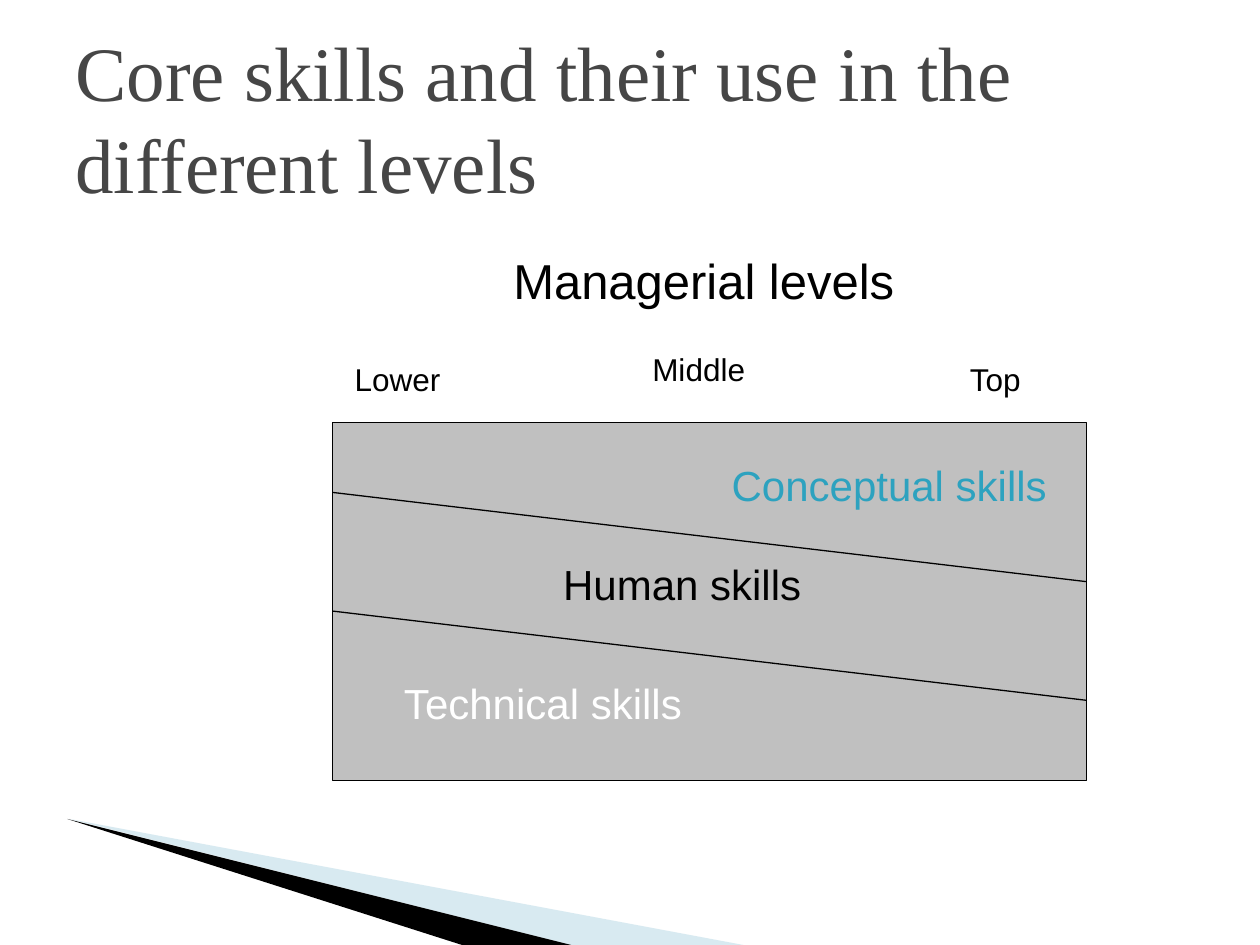
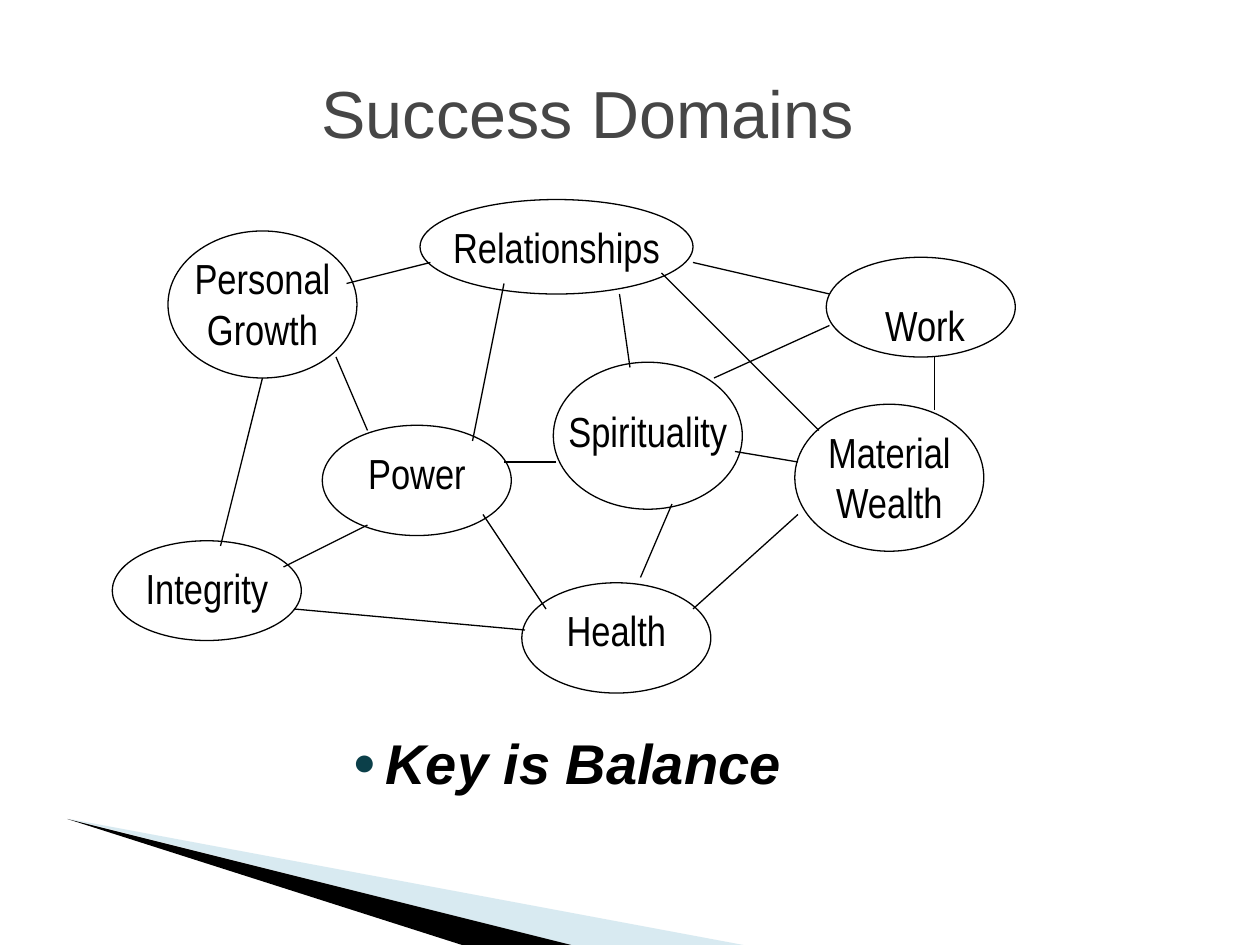
"""Builds two management slides: core skills by level, and success domains."""
from lxml import etree
from pptx import Presentation
from pptx.dml.color import RGBColor
from pptx.enum.shapes import MSO_CONNECTOR, MSO_SHAPE
from pptx.enum.text import MSO_ANCHOR, MSO_AUTO_SIZE, PP_ALIGN
from pptx.oxml.ns import qn
from pptx.util import Inches, Pt

STRAIGHT = MSO_CONNECTOR.STRAIGHT
RECTANGLE, ELLIPSE = MSO_SHAPE.RECTANGLE, MSO_SHAPE.OVAL
LEFT, CENTER = PP_ALIGN.LEFT, PP_ALIGN.CENTER
TOP, MIDDLE, BOTTOM = MSO_ANCHOR.TOP, MSO_ANCHOR.MIDDLE, MSO_ANCHOR.BOTTOM
FIT_SHAPE = MSO_AUTO_SIZE.SHAPE_TO_FIT_TEXT

BLACK = RGBColor(0x00, 0x00, 0x00)
WHITE = RGBColor(0xFF, 0xFF, 0xFF)
GRAY = RGBColor(0xC0, 0xC0, 0xC0)
TITLE_GRAY = RGBColor(0x46, 0x46, 0x46)
TEAL = RGBColor(0x2D, 0xA2, 0xBF)
DARK_TEAL = RGBColor(0x0B, 0x3F, 0x49)
PALE_BLUE = RGBColor(0x9F, 0xCB, 0xDC)

COLUMNS, ROWS = 120, 90
SANS, NARROW, SERIF = "Arial", "Arial Narrow", "Times New Roman"
LINE_WIDTH = Pt(0.75)

WEDGES = [
    ([(6.6, 78), (70.8, 90), (54.4, 90)], PALE_BLUE, 40),
    ([(6.4, 78), (54.4, 90), (44, 90)], BLACK, 100),
]

CHART_AREA = (31.7, 40.26, 71.8, 34.1)
DIVIDER_ROWS = (46.9, 58.2)
DIVIDER_DROP = 8.5
SKILL_LABELS = [
    ("Conceptual skills", (68.5, 43.15, 33.1, 6), 24, TEAL),
    ("Human skills", (52.45, 52.6, 25.4, 6), 24, BLACK),
    ("Technical skills", (37.3, 63.9, 34.1, 6), 24, WHITE),
    ("Managerial levels", (47.7, 23.3, 39.7, 6.8), 28, BLACK),
    ("Lower", (32.6, 33.7, 13.2, 4.8), 18, BLACK),
    ("Middle", (60.95, 32.72, 17, 4.8), 18, BLACK),
    ("Top", (91.2, 33.7, 12.2, 4.8), 18, BLACK),
]

DOMAINS = [
    ("Personal\nGrowth", (16, 22, 18, 14), 15.4, 1.5),
    ("Relationships", (40, 19, 26, 9), 22.1, 1.5),
    ("Work", (78.7, 24.5, 18, 9.5), 10.1, 3.4, 0.4),
    ("Material\nWealth", (75.7, 38.5, 18, 14), 14.1, 1.5),
    ("Power", (30.7, 40.5, 18, 10.5), 11.7, 1.5),
    ("Spirituality", (52.7, 34.5, 18, 14), 17.6, 3.5),
    ("Health", (49.7, 55.5, 18, 10.5), 11.9, 1.5),
    ("Integrity", (10.7, 51.5, 18, 9.5), 14.1, 1.5),
]
LINKS = [
    (21, 52, 25, 36), (27, 54, 35, 50), (28, 58, 50, 60), (61, 55, 64, 48),
    (66, 58, 76, 49), (89, 39, 89, 34), (79, 28, 66, 25), (41, 25, 33, 27),
    (59, 28, 60, 35), (53, 44, 48, 44), (45, 42, 48, 27), (78, 41, 63, 26),
    (32, 34, 35, 41), (52, 58, 46, 49), (68, 36, 79, 31), (70, 43, 76, 44),
]


class SlideBuilder:
    """Holds the deck, its grid and the current page."""

    def __init__(self):
        self.deck = Presentation()
        self.deck.slide_width, self.deck.slide_height = Inches(10), Inches(7.5)
        self.column = self.deck.slide_width / COLUMNS
        self.row = self.deck.slide_height / ROWS
        self.page = None

    def place(self, *cells):
        """Turns alternating columns and rows into lengths."""
        steps = (self.column, self.row)
        return [round(cell * steps[i % 2]) for i, cell in enumerate(cells)]

    def new_page(self):
        """Adds a blank page with the corner wedges."""
        self.page = self.deck.slides.add_slide(self.deck.slide_layouts[6])
        for points, color, opacity in WEDGES:
            self.wedge(points, color, opacity)

    def wedge(self, points, color, opacity):
        """Draws a filled triangle without an outline."""
        start, *others = [self.place(*point) for point in points]
        builder = self.page.shapes.build_freeform(*start)
        builder.add_line_segments(others)
        shape = builder.convert_to_shape()
        shape.shadow.inherit = False
        shape.fill.solid()
        shape.fill.fore_color.rgb = color
        shape.line.fill.background()
        if opacity < 100:
            tint = next(shape.fill._xPr.iter(qn("a:srgbClr")))
            etree.SubElement(tint, qn("a:alpha")).set("val", str(opacity * 1000))

    def outline(self, kind, area, color=None):
        """Draws a thinly outlined preset shape."""
        shape = self.page.shapes.add_shape(kind, *self.place(*area))
        shape.shadow.inherit = False
        shape.line.color.rgb = BLACK
        shape.line.width = LINE_WIDTH
        if color is None:
            shape.fill.background()
        else:
            shape.fill.solid()
            shape.fill.fore_color.rgb = color

    def line(self, *ends):
        """Draws a thin straight line between two grid points."""
        line = self.page.shapes.add_connector(STRAIGHT, *self.place(*ends))
        line.line.color.rgb = BLACK
        line.line.width = LINE_WIDTH
        etree.SubElement(line._element.spPr, qn("a:effectLst"))

    def text(self, words, area, size, color=BLACK, font=SANS, align=LEFT,
             anchor=TOP, wrap=True):
        """Writes a text box and returns its paragraphs."""
        box = self.page.shapes.add_textbox(*self.place(*area))
        frame = box.text_frame
        frame.word_wrap = wrap
        if not wrap:
            frame.auto_size = FIT_SHAPE
        frame.vertical_anchor = anchor
        frame.text = words
        for para in frame.paragraphs:
            para.alignment = align
            for span in para.runs:
                span.font.name = font
                span.font.size = Pt(size)
                span.font.color.rgb = color
        return frame.paragraphs

    def title(self, words, area, size, **style):
        """Writes the page title."""
        self.text(words, area, size, TITLE_GRAY, **style)

    def key_point(self, words, area, size):
        """Writes a centred, bold italic bullet."""
        para = self.text(words, area, size, align=CENTER)[0]
        settings = para._p.get_or_add_pPr()
        indent = Inches(0.26)
        settings.set("marL", str(indent))
        settings.set("indent", str(-indent))
        bullet_color = etree.SubElement(settings, qn("a:buClr"))
        etree.SubElement(bullet_color, qn("a:srgbClr")).set("val", str(DARK_TEAL))
        etree.SubElement(settings, qn("a:buSzPct")).set("val", "70000")
        etree.SubElement(settings, qn("a:buFont")).set("typeface", SANS)
        etree.SubElement(settings, qn("a:buChar")).set("char", "●")
        for span in para.runs:
            span.font.bold = span.font.italic = True

    def domain(self, name, area, width, drop, shift=0):
        """Draws an ellipse with its name centred across it."""
        left, top, across, _ = area
        height = 6 + 4.8 * name.count("\n")
        self.outline(ELLIPSE, area)
        label = (left + (across - width) / 2 + shift, top + drop, width, height)
        self.text(name, label, 24, font=NARROW, align=CENTER, wrap=False)


def build_skills(slides):
    """Builds the page on skills by managerial level."""
    slides.new_page()
    slides.title("Core skills and their use in the different levels",
                 (6, 3.6, 108, 15), 44, font=SERIF, anchor=MIDDLE)
    slides.outline(RECTANGLE, CHART_AREA, GRAY)
    left, _, width, _ = CHART_AREA
    for row in DIVIDER_ROWS:
        slides.line(left, row, left + width, row + DIVIDER_DROP)
    for words, area, size, color in SKILL_LABELS:
        slides.text(words, area, size, color)


def build_domains(slides):
    """Builds the page on linked success domains."""
    slides.new_page()
    slides.title("Success Domains", (5, 0, 102, 15), 38,
                 align=CENTER, anchor=BOTTOM)
    slides.key_point("Key is Balance", (3, 68.8, 102, 9.2), 32)
    for domain in DOMAINS:
        slides.domain(*domain)
    for link in LINKS:
        slides.line(*link)


def main():
    """Builds and saves the deck."""
    slides = SlideBuilder()
    build_skills(slides)
    build_domains(slides)
    slides.deck.save("out.pptx")


if __name__ == "__main__":
    main()
